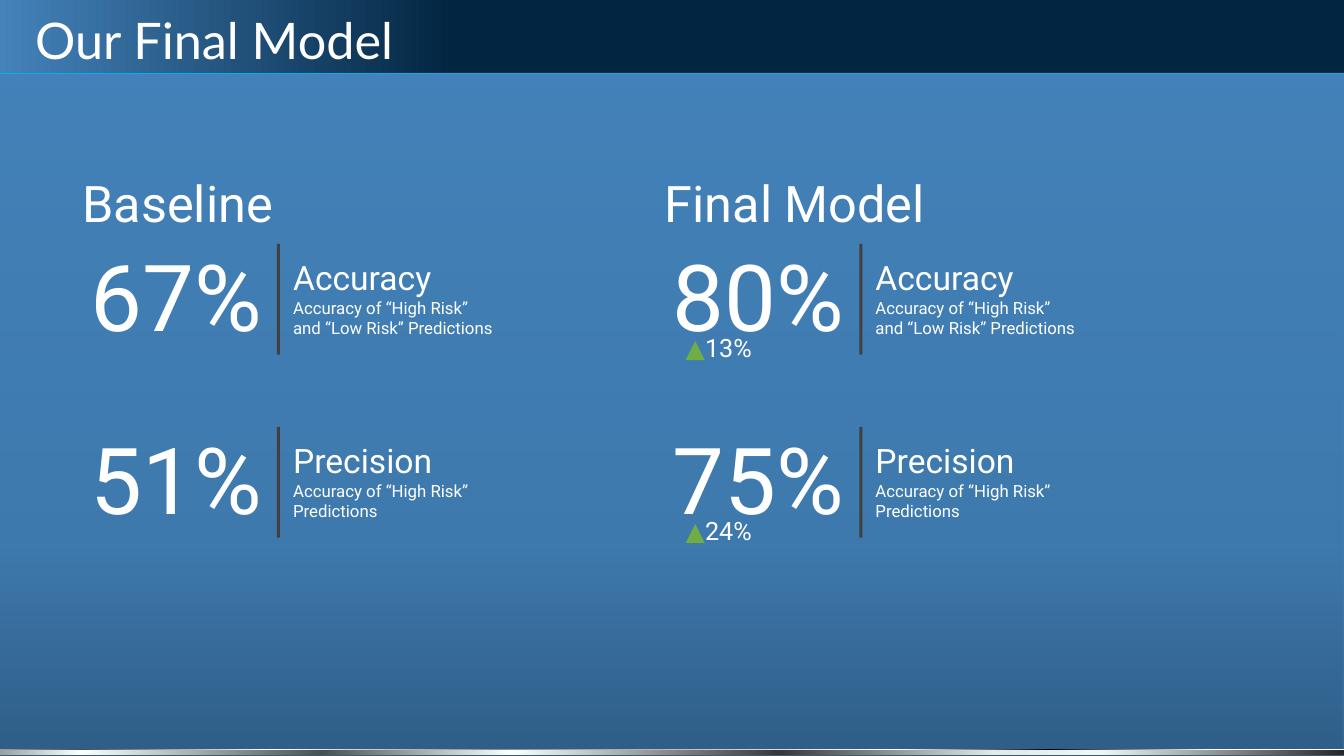
from lxml.etree import SubElement
from pptx import Presentation
from pptx.dml.color import RGBColor
from pptx.enum.shapes import MSO_SHAPE as Shape
from pptx.enum.text import MSO_ANCHOR as Anchor, PP_ALIGN as Align
from pptx.oxml.ns import qn
from pptx.util import Pt

TITLE = "Our Final Model"
ACCURACY = ("Accuracy", "Accuracy of “High Risk” \vand “Low Risk” Predictions", 186)
PRECISION = ("Precision", "Accuracy of “High Risk” Predictions", 143.5)
MODELS = [
    ("Baseline", [("67%", None, ACCURACY), ("51%", None, PRECISION)]),
    ("Final Model", [("80%", "13%", ACCURACY), ("75%", "24%", PRECISION)]),
]
BACKDROP = [(0, "4382BA", 95), (72, "3E79AD", 100), (100, "2E5C85", 95)]
CHROME = [(0, "9E9EA0", 100), (6, "FFFFFF", 100), (24, "4E4E4E", 100),
          (38, "FFFFFF", 100), (58, "383637", 100), (74, "E8E8E8", 100),
          (82, "F4F4F4", 100), (100, "272624", 100)]
CHROME_EDGE = [(0, "9E9EA0", 100), (6, "4E4E4E", 100), (20, "FFFFFF", 100),
               (37, "8B8B8B", 100), (67, "FFFFFF", 100), (78, "000000", 100),
               (90, "FFFFFF", 100)]
HEADER = [(0, "4583BB", 100), (34, "022541", 100)]
WHITE, GREEN, CHARCOAL, CYAN = "FFFFFF", "70AD47", "404040", "00B0F0"
WIDTH, HEIGHT = 960, 540
LEFT, COLUMN_STEP = 51.8, 416
TOP, ROW_STEP = 167, 130.7

deck = Presentation()
deck.slide_width, deck.slide_height = Pt(WIDTH), Pt(HEIGHT)
page = deck.slides.add_slide(deck.slide_layouts[6])


def color(value):
    return RGBColor.from_string(value)


def add_bar(left, top, width, height):
    bar = page.shapes.add_shape(Shape.RECTANGLE, Pt(left), Pt(top), Pt(width), Pt(height))
    bar.shadow.inherit = False
    bar.line.fill.background()
    return bar


def add_gradient(place, stops, angle=0):
    bar = add_bar(*place)
    bar.fill.gradient()
    bar.fill.gradient_angle = angle
    stop_list = next(bar.element.iter(qn("a:gsLst")))
    for old in list(stop_list):
        stop_list.remove(old)
    for position, value, alpha in stops:
        stop = SubElement(stop_list, qn("a:gs"), pos=str(position * 1000))
        tint = SubElement(stop, qn("a:srgbClr"), val=value)
        if alpha < 100:
            SubElement(tint, qn("a:alpha"), val=str(alpha * 1000))
    return bar


def add_text(place, lines, font="Roboto", align=Align.LEFT):
    box = page.shapes.add_textbox(*map(Pt, place))
    frame = box.text_frame
    frame.word_wrap = True
    frame.text = "\n".join(text for text, size in lines)
    for para, (text, size) in zip(frame.paragraphs, lines):
        para.alignment = align
        for span in para.runs:
            style(span, size, font)
    return frame


def style(span, size, font="Roboto", value=WHITE):
    span.font.size, span.font.name = Pt(size), font
    span.font.color.rgb = color(value)


def add_metric(left, top, value, change, label):
    name, detail, label_width = label
    add_text((left, top, 148.3, 87.1), [(value, 66)], align=Align.CENTER)
    add_text((left + 150.5, top + 13.2, label_width, 65.5), [(name, 24), (detail, 12)])
    rule = add_bar(left + 146, top + 7.2, 2.2, 79.2)
    rule.fill.solid()
    rule.fill.fore_color.rgb = color(CHARCOAL)
    if change:
        frame = add_text((left + 6.7, top + 67, 77.8, 28.8), [("▲", 18)], align=Align.CENTER)
        para = frame.paragraphs[0]
        para.runs[0].font.color.rgb = color(GREEN)
        span = para.add_run()
        span.text = change
        style(span, 18)


page.background.fill.solid()
page.background.fill.fore_color.rgb = color("4382BA")
add_gradient((0, 0, WIDTH, HEIGHT), BACKDROP, 270)
add_gradient((0, 535.8, WIDTH, 3.8), CHROME)
add_gradient((0, 535.2, WIDTH, 0.7), CHROME_EDGE)
header = add_gradient((-1.2, -1.2, 962.4, 53.3), HEADER)
header.line.color.rgb = color(CYAN)
header.line.width = Pt(0.5)
heading = add_text((18, 7.2, 671, 46.8), [(TITLE, 36)], "Lato")
heading.vertical_anchor = Anchor.MIDDLE
heading.paragraphs[0].line_spacing = 0.9

for column, (model, metrics) in enumerate(MODELS):
    left = LEFT + column * COLUMN_STEP
    add_text((left, 119.5, 305.3, 51.1), [(model, 36)])
    for row, metric in enumerate(metrics):
        add_metric(left, TOP + row * ROW_STEP, *metric)

deck.save("out.pptx")
